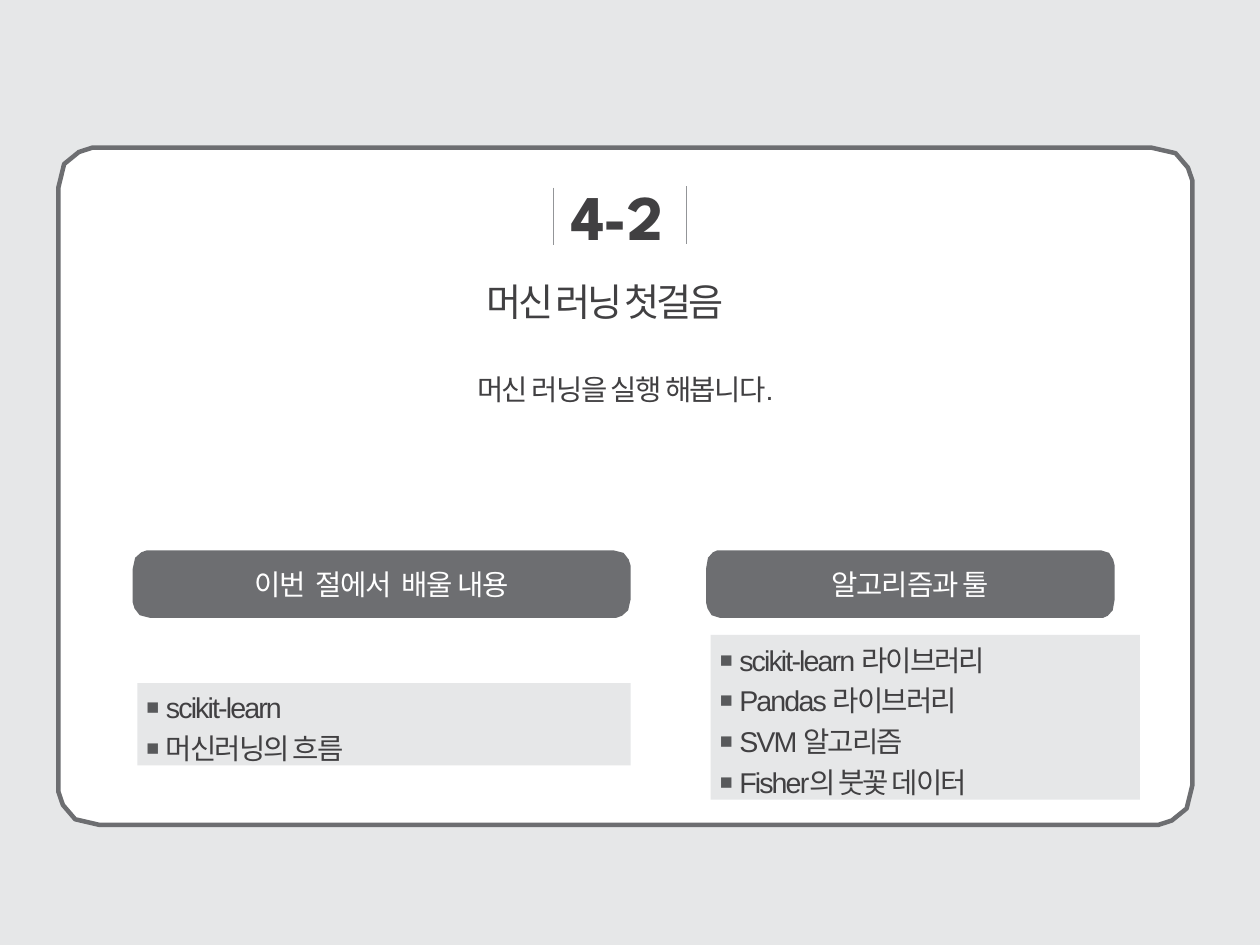
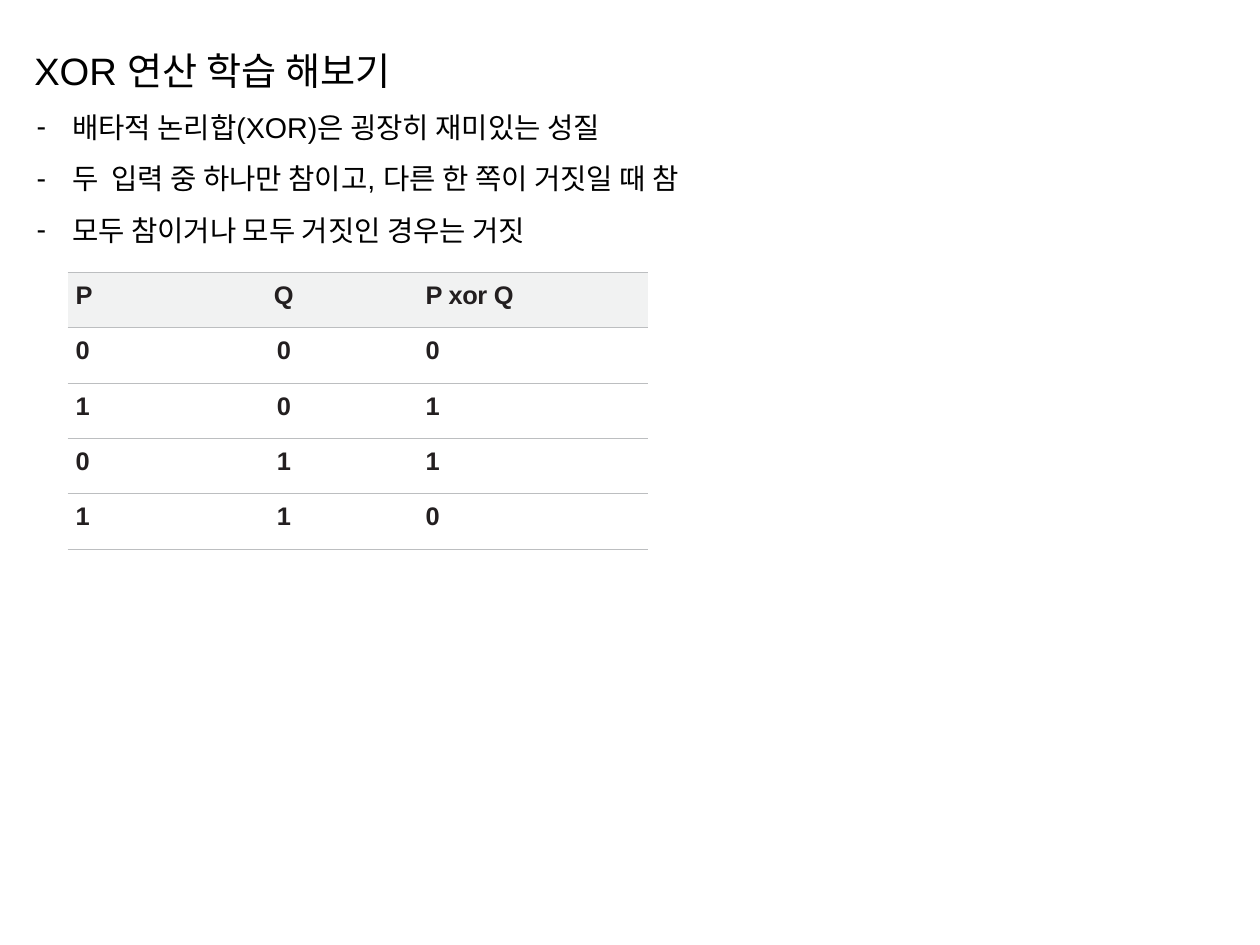
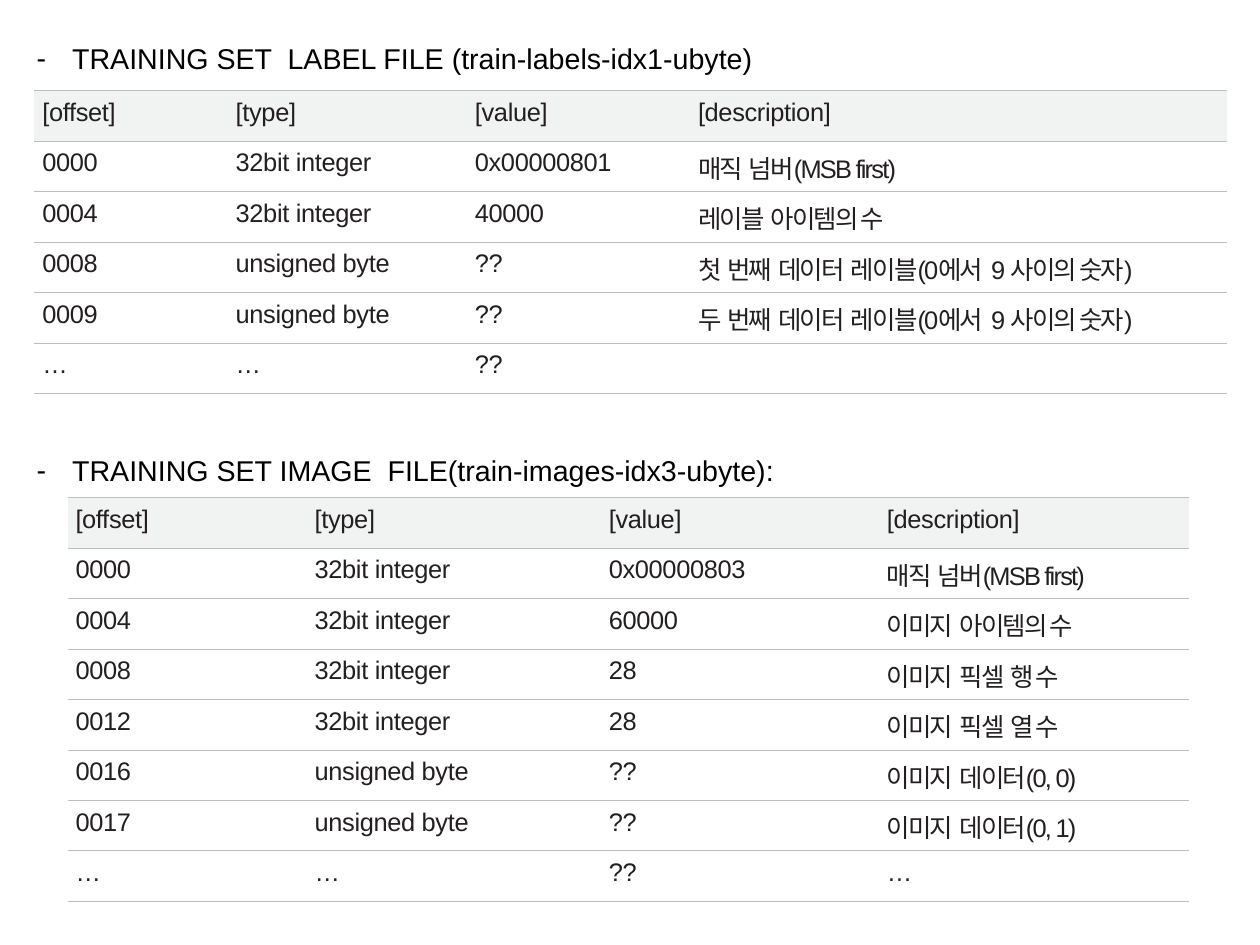
from dataclasses import dataclass
from typing import Any, Optional

from lxml.etree import SubElement
from pptx import Presentation
from pptx.dml.color import RGBColor
from pptx.enum.shapes import MSO_CONNECTOR
from pptx.enum.text import MSO_ANCHOR, MSO_AUTO_SIZE, PP_ALIGN
from pptx.oxml import parse_xml
from pptx.oxml.ns import nsdecls, qn
from pptx.util import Inches, Pt

BLACK = RGBColor(0x00, 0x00, 0x00)
WHITE = RGBColor(0xFF, 0xFF, 0xFF)
INK = RGBColor(0x41, 0x40, 0x42)
CELL_INK = RGBColor(0x23, 0x1F, 0x20)
SLATE = RGBColor(0x6D, 0x6E, 0x71)
RULE = RGBColor(0x93, 0x95, 0x98)
BULLET = RGBColor(0x58, 0x59, 0x5B)
PALE = RGBColor(0xE6, 0xE7, 0xE8)
HEADER = RGBColor(0xF1, 0xF2, 0xF2)
BORDER = RGBColor(0xBC, 0xBE, 0xC0)

CORNER = ((1, 0), (0.41, 0.14), (0.11, 0.5), (0, 0.83), (0, 1))


@dataclass(frozen=True)
class Box:
    x: float
    y: float
    w: float
    h: float


@dataclass(frozen=True)
class TextStyle:
    size: float
    color: RGBColor
    font: str = "Arial"
    bold: bool = False
    spc: float = 0
    align: PP_ALIGN = PP_ALIGN.LEFT
    line: float = 1.0
    before: float = 0


@dataclass(frozen=True)
class Bullet:
    char: str
    left: float
    hang: float
    color: Optional[RGBColor] = None
    pct: int = 100


@dataclass(frozen=True)
class Pill:
    box: Box
    rx: float
    text: str


@dataclass(frozen=True)
class Grid:
    box: Box
    cols: tuple[float, ...]
    indents: tuple[float, ...]
    top: float
    rows: tuple[tuple[str, ...], ...]
    bold: bool = False
    centred: tuple[int, ...] = ()


HEADING = TextStyle(24, BLACK, line=1.5)
POINT = TextStyle(18, BLACK, line=1.5)
CARD_TITLE = TextStyle(24, INK, spc=-2)
CARD_NUMBER = TextStyle(40, INK, "League Spartan", True, -0.4)
CARD_NOTE = TextStyle(18, INK, spc=-1, line=1.35)
CARD_ITEM = TextStyle(18, INK, spc=-1.2, before=4)
PILL_TEXT = TextStyle(18, WHITE, "Courier New", spc=-0.7, align=PP_ALIGN.CENTER)
DASH = Bullet("-", 0.33, 0.31)
SQUARE = Bullet("■", 0.25, 0.17, BULLET, 75)

PILLS = (
    Pill(Box(1.16, 4.81, 4.35, 0.59), 0.15, "이번  절에서  배울 내용"),
    Pill(Box(6.17, 4.81, 3.57, 0.59), 0.12, "알고리즘과 툴"),
)
CARD_LISTS = (
    (Box(1.2, 5.97, 4.31, 0.72), ("scikit-learn", "머신러닝의 흐름")),
    (Box(6.21, 5.55, 3.75, 1.44),
     ("scikit-learn 라이브러리", "Pandas 라이브러리", "SVM 알고리즘", "Fisher의 붓꽃 데이터")),
)
XOR_POINTS = (
    "배타적 논리합(XOR)은 굉장히 재미있는 성질",
    "두  입력 중 하나만 참이고, 다른 한 쪽이 거짓일 때 참",
    "모두 참이거나 모두 거짓인 경우는 거짓",
)
XOR_GRID = Grid(
    Box(0.59, 2.38, 5.08, 2.42), (1.04, 1.7, 2.33), (0.07, 0, 0.39), 0.08,
    (("P", "Q", "P xor Q"),
     ("0", "0", "0"), ("1", "0", "1"), ("0", "1", "1"), ("1", "1", "0")),
    bold=True, centred=(1,),
)
FIELDS = ("[offset]", "[type]", "[value]", "[description]")
INTEGER, BYTE = "32bit integer", "unsigned byte"
MAGIC = "매직  넘버(MSB first)"
LABEL_GRID = Grid(
    Box(0.3, 0.79, 10.42, 2.65), (1.37, 2.25, 1.92, 4.88), (0.07, 0.39, 0.23, 0.26), 0.07,
    (FIELDS,
     ("0000", INTEGER, "0x00000801", MAGIC),
     ("0004", INTEGER, "40000", "레이블  아이템의 수"),
     ("0008", BYTE, "??", "첫  번째  데이터  레이블(0에서  9 사이의 숫자)"),
     ("0009", BYTE, "??", "두  번째  데이터  레이블(0에서  9 사이의 숫자)"),
     ("…", "…", "??", "")),
)
IMAGE_GRID = Grid(
    Box(0.59, 4.35, 9.79, 3.53), (1.64, 2.74, 2.4, 3.02), (0.07, 0.52, 0.35, 0.38), 0.07,
    (FIELDS,
     ("0000", INTEGER, "0x00000803", MAGIC),
     ("0004", INTEGER, "60000", "이미지  아이템의 수"),
     ("0008", INTEGER, "28", "이미지  픽셀  행 수"),
     ("0012", INTEGER, "28", "이미지  픽셀  열 수"),
     ("0016", BYTE, "??", "이미지  데이터(0, 0)"),
     ("0017", BYTE, "??", "이미지  데이터(0, 1)"),
     ("…", "…", "??", "…")),
)
FILE_HEADINGS = (
    (0.21, "TRAINING SET  LABEL FILE (train-labels-idx1-ubyte)"),
    (3.81, "TRAINING SET IMAGE  FILE(train-images-idx3-ubyte):"),
)


def assign(obj: Any, values: dict[str, Any]) -> None:
    for name, value in values.items():
        setattr(obj, name, value)


def frame(box: Box) -> tuple[int, ...]:
    return tuple(Inches(v) for v in (box.x, box.y, box.w, box.h))


def move(sp: Any, box: Box) -> None:
    assign(sp, dict(zip(("left", "top", "width", "height"), frame(box))))


def add_bullet(p: Any, bullet: Bullet) -> None:
    pPr = p._p.get_or_add_pPr()
    pPr.set("marL", str(Inches(bullet.left)))
    pPr.set("indent", str(-Inches(bullet.hang)))
    if bullet.color is not None:
        clr = SubElement(pPr, qn("a:buClr"))
        SubElement(clr, qn("a:srgbClr")).set("val", str(bullet.color))
    SubElement(pPr, qn("a:buSzPct")).set("val", str(bullet.pct * 1000))
    SubElement(pPr, qn("a:buFont")).set("typeface", "Arial")
    SubElement(pPr, qn("a:buChar")).set("char", bullet.char)


def write(p: Any, text: str, style: TextStyle) -> None:
    assign(p, {"alignment": style.align, "line_spacing": style.line,
               "space_before": Pt(style.before), "space_after": Pt(0)})
    if not text:
        return
    r = p.add_run()
    r.text = text
    assign(r.font, {"name": style.font, "size": Pt(style.size), "bold": style.bold})
    r.font.color.rgb = style.color
    r._r.get_or_add_rPr().set("spc", str(round(style.spc * 100)))


def fill_text(sp: Any, lines: tuple[str, ...], style: TextStyle, bullet: Optional[Bullet] = None,
              anchor: MSO_ANCHOR = MSO_ANCHOR.TOP, top: float = 0) -> None:
    tf = sp.text_frame
    assign(tf, {"word_wrap": True, "auto_size": MSO_AUTO_SIZE.NONE, "vertical_anchor": anchor,
                "margin_left": 0, "margin_right": 0, "margin_top": Inches(top), "margin_bottom": 0})
    for i, line in enumerate(lines):
        p = tf.add_paragraph() if i else tf.paragraphs[0]
        write(p, line, style)
        if bullet:
            add_bullet(p, bullet)


def add_text(s: Any, box: Box, text: str, style: TextStyle) -> None:
    fill_text(s.shapes.add_textbox(*frame(box)), (text,), style)


def add_panel(s: Any, box: Box, rx: float, ry: float, fill: RGBColor,
              line: Optional[RGBColor] = None) -> Any:
    right, bottom = box.x + box.w, box.y + box.h
    corners = (
        (box.x, box.y, (0, ry), (rx, 0)),
        (right, box.y, (-rx, 0), (0, ry)),
        (right, bottom, (0, -ry), (-rx, 0)),
        (box.x, bottom, (rx, 0), (0, -ry)),
    )
    points = [
        (Inches(x + a * before[0] + b * after[0]), Inches(y + a * before[1] + b * after[1]))
        for x, y, before, after in corners for a, b in CORNER
    ]
    fb = s.shapes.build_freeform(*points[0])
    fb.add_line_segments(points[1:], close=True)
    sp = fb.convert_to_shape()
    sp.shadow.inherit = False
    sp.fill.solid()
    sp.fill.fore_color.rgb = fill
    if line is None:
        sp.line.fill.background()
    else:
        sp.line.color.rgb = line
        sp.line.width = Pt(2.83)
    return sp


def add_rule(s: Any, x: float, y: float, h: float) -> None:
    c = s.shapes.add_connector(MSO_CONNECTOR.STRAIGHT, Inches(x), Inches(y), Inches(x), Inches(y + h))
    c.line.color.rgb = RULE
    c.line.width = Pt(0.5)
    SubElement(c._element.spPr, qn("a:effectLst"))


def set_borders(cell: Any) -> None:
    tcPr = cell._tc.get_or_add_tcPr()
    solid = f'<a:solidFill><a:srgbClr val="{BORDER}"/></a:solidFill>'
    sides = (("lnL", "<a:noFill/>"), ("lnR", "<a:noFill/>"), ("lnT", solid), ("lnB", solid))
    for i, (side, paint) in enumerate(sides):
        tcPr.insert(i, parse_xml(f'<a:{side} {nsdecls("a")} w="{Pt(0.5)}">{paint}</a:{side}>'))


def is_korean(text: str) -> bool:
    return any("가" <= ch <= "힣" for ch in text)


def add_grid(s: Any, grid: Grid) -> None:
    tbl = s.shapes.add_table(len(grid.rows), len(grid.cols), *frame(grid.box)).table
    assign(tbl, {"first_row": False, "horz_banding": False})
    for col, width in zip(tbl.columns, grid.cols):
        col.width = Inches(width)
    for i, row in enumerate(grid.rows):
        tbl.rows[i].height = Inches(grid.box.h / len(grid.rows))
        for j, text in enumerate(row):
            cell = tbl.cell(i, j)
            assign(cell, {"margin_left": Inches(grid.indents[j]), "margin_right": 0,
                          "margin_top": Inches(grid.top), "margin_bottom": 0})
            if i:
                cell.fill.background()
            else:
                cell.fill.solid()
                cell.fill.fore_color.rgb = HEADER
            set_borders(cell)
            align = PP_ALIGN.CENTER if j in grid.centred else PP_ALIGN.LEFT
            style = TextStyle(16, CELL_INK, bold=grid.bold, align=align, before=3,
                              spc=-1.1 if is_korean(text) else -0.2)
            write(cell.text_frame.paragraphs[0], text, style)


def build_cover(prs: Any) -> None:
    s = prs.slides.add_slide(prs.slide_layouts[3])
    s.background.fill.solid()
    s.background.fill.fore_color.rgb = PALE
    title, *bodies = s.placeholders
    card = add_panel(s, Box(0.51, 1.29, 9.91, 5.92), 0.36, 0.35, WHITE, SLATE)
    s.shapes._spTree.insert(2, card._element)
    add_rule(s, 4.84, 1.64, 0.5)
    add_rule(s, 6, 1.63, 0.5)
    add_text(s, Box(4.99, 1.55, 1.04, 0.67), "4-2", CARD_NUMBER)
    move(title, Box(4.25, 2.43, 2.5, 0.4))
    fill_text(title, ("머신 러닝 첫걸음",), CARD_TITLE)
    add_text(s, Box(4.17, 3.15, 3.08, 0.41), "머신 러닝을 실행 해봅니다.", CARD_NOTE)
    for pill in PILLS:
        sp = add_panel(s, pill.box, pill.rx, 0.16, SLATE)
        fill_text(sp, (pill.text,), PILL_TEXT, anchor=MSO_ANCHOR.MIDDLE)
    for body, (box, items) in zip(bodies, CARD_LISTS):
        move(body, box)
        body.fill.solid()
        body.fill.fore_color.rgb = PALE
        fill_text(body, items, CARD_ITEM, SQUARE, MSO_ANCHOR.MIDDLE, 0.06)


def build_xor(prs: Any) -> None:
    s = prs.slides.add_slide(prs.slide_layouts[1])
    title, body = s.placeholders
    move(title, Box(0.3, 0.21, 10.42, 0.6))
    fill_text(title, ("XOR 연산 학습 해보기",), HEADING)
    move(body, Box(0.3, 0.81, 10.42, 1.35))
    fill_text(body, XOR_POINTS, POINT, DASH)
    add_grid(s, XOR_GRID)


def build_files(prs: Any) -> None:
    s = prs.slides.add_slide(prs.slide_layouts[3])
    title, *bodies = s.placeholders
    title._element.getparent().remove(title._element)
    for body, (y, text) in zip(bodies, FILE_HEADINGS):
        move(body, Box(0.3, y, 10.42, 0.45))
        fill_text(body, (text,), POINT, DASH)
    for grid in (LABEL_GRID, IMAGE_GRID):
        add_grid(s, grid)


def main() -> None:
    prs = Presentation()
    assign(prs, {"slide_width": Inches(11.01), "slide_height": Inches(8.26)})
    for build in (build_cover, build_xor, build_files):
        build(prs)
    prs.save("out.pptx")


if __name__ == "__main__":
    main()
